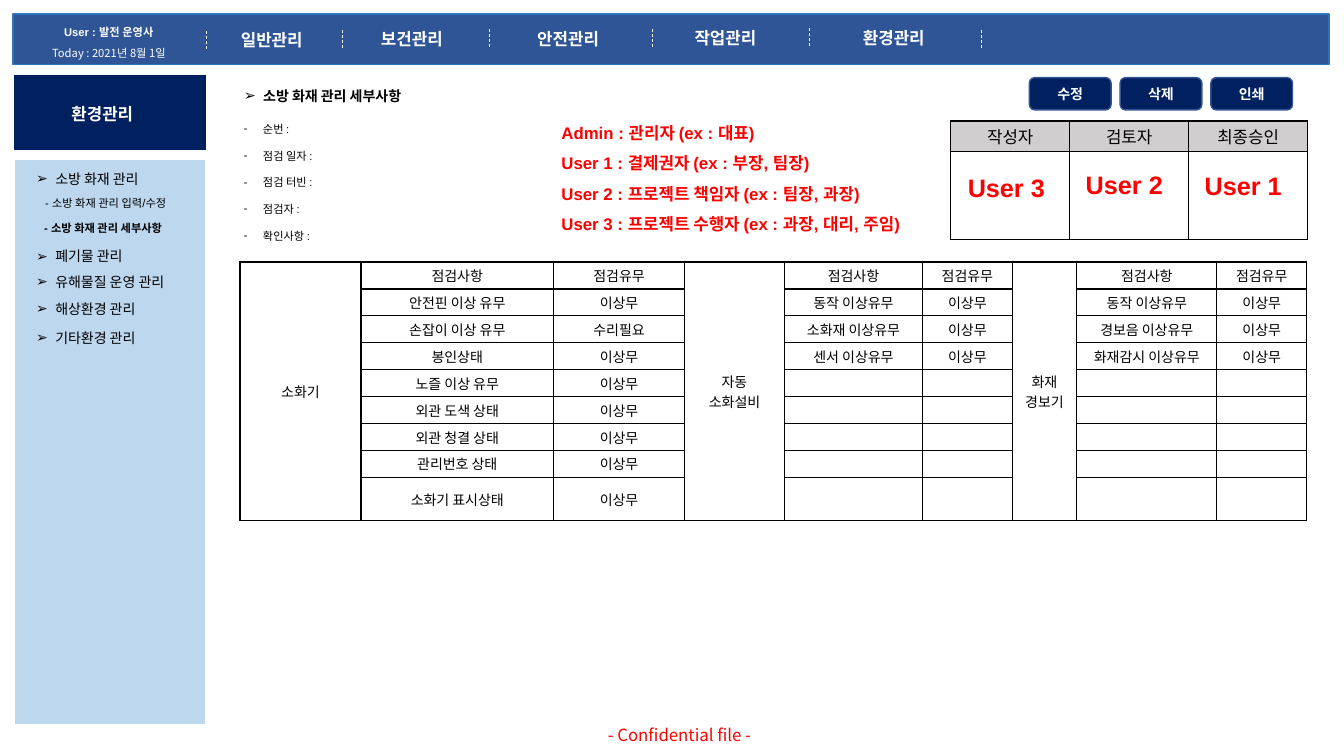
import pptx
import pptx.util
import pptx.dml.color
import pptx.enum.dml
import pptx.enum.shapes
import pptx.enum.text
import pptx.oxml
import pptx.oxml.ns
from dataclasses import dataclass
from lxml import etree

Inches, Pt = pptx.util.Inches, pptx.util.Pt
ALIGN = pptx.enum.text.PP_ALIGN
ANCHOR = pptx.enum.text.MSO_ANCHOR
SHAPE = pptx.enum.shapes.MSO_SHAPE


@dataclass(frozen=True)
class Theme:
    latin: str = "Arial"
    korean: str = "Noto Sans CJK KR"
    white: str = "FFFFFF"
    black: str = "000000"
    red: str = "FF0000"
    navy: str = "002060"
    bar: str = "2F5597"
    bar_edge: str = "2E75B6"
    button_edge: str = "325491"
    sidebar: str = "BDD7EE"
    header: str = "D0CECE"
    small: int = 8
    body: int = 10
    nav: int = 12
    large: int = 18


T = Theme()

TITLE = "소방 화재 관리 세부사항"
FIELDS = ["순번 :", "점검 일자 :", "점검 터빈 :", "점검자 :", "확인사항 :"]
USER, TODAY = "User : 발전 운영사", "Today : 2021년 8월 1일"
SECTION = "환경관리"
FOOTER = "- Confidential file -"
NAV = [("일반관리", 2.29, 0.25), ("보건관리", 3.68, 0.24), ("안전관리", 5.23, 0.24),
       ("작업관리", 6.79, 0.23), ("환경관리", 8.46, 0.23)]
DIVIDERS = [(2.05, 0.31), (3.4, 0.3), (4.85, 0.29), (6.47, 0.29), (8.03, 0.28), (9.73, 0.3)]
MENU = [("소방 화재 관리", 1.64), ("폐기물 관리", 2.41), ("유해물질 운영 관리", 2.66),
        ("해상환경 관리", 2.93), ("기타환경 관리", 3.22)]
SUBMENU = [("- 소방 화재 관리 입력/수정", 0.35, 1.9, False),
           ("- 소방 화재 관리 세부사항", 0.34, 2.15, True)]
BUTTONS = ["수정", "삭제", "인쇄"]
ROLES = ["Admin : 관리자 (ex : 대표)", "User 1 : 결제권자 (ex : 부장, 팀장)",
         "User 2 : 프로젝트 책임자 (ex : 팀장, 과장)",
         "User 3 : 프로젝트 수행자 (ex : 과장, 대리, 주임)"]
APPROVAL = ["작성자", "검토자", "최종승인"]
SIGNERS = [("User 3", 9.5, 1.66), ("User 2", 10.67, 1.63), ("User 1", 11.85, 1.64)]
CHECK_HEAD = ("점검사항", "점검유무")
OK = "이상무"
CHECKS = [
    ("소화기", [("안전핀 이상 유무", OK), ("손잡이 이상 유무", "수리필요"), ("봉인상태", OK),
             ("노즐 이상 유무", OK), ("외관 도색 상태", OK), ("외관 청결 상태", OK),
             ("관리번호 상태", OK), ("소화기 표시상태", OK)]),
    ("자동\n소화설비", [("동작 이상유무", OK), ("소화재 이상유무", OK), ("센서 이상유무", OK)]),
    ("화재\n경보기", [("동작 이상유무", OK), ("경보음 이상유무", OK), ("화재감시 이상유무", OK)]),
]
CHECK_COLS = [1.2, 1.91, 1.3, 0.99, 1.37, 0.89, 0.64, 1.39, 0.89]
CHECK_ROWS = [0.267] * 8 + [0.43]


def rgb(value):
    return pptx.dml.color.RGBColor.from_string(value)


def sub(parent, tag, **attrs):
    return etree.SubElement(parent, pptx.oxml.ns.qn(tag), **attrs)


def write(tf, text, size, color=T.black, bold=False, font=T.latin, align=ALIGN.LEFT,
          spacing=None, bullet=None):
    tf.text = text
    for p in tf.paragraphs:
        p.alignment = align
        if spacing:
            p.line_spacing = spacing
        if bullet:
            pPr = p._p.get_or_add_pPr()
            pPr.set("marL", str(Inches(0.19)))
            pPr.set("indent", str(-Inches(0.19)))
            sub(pPr, "a:buFont", typeface=T.latin)
            sub(pPr, "a:buChar", char=bullet)
        for r in p.runs:
            r.font.size, r.font.bold, r.font.name = Pt(size), bold, font
            r.font.color.rgb = rgb(color)
            sub(r._r.get_or_add_rPr(), "a:ea", typeface=T.korean)
        if not p.runs:
            sub(p._p, "a:endParaRPr", sz=str(size * 100))


def add_text(slide, box, text, size, **style):
    tf = slide.shapes.add_textbox(*map(Inches, box)).text_frame
    tf.word_wrap = True
    write(tf, text, size, **style)
    return tf


def add_box(slide, kind, box, fill, line, width):
    sp = slide.shapes.add_shape(kind, *map(Inches, box))
    sp.shadow.inherit = False
    sp.fill.solid()
    sp.fill.fore_color.rgb = rgb(fill)
    sp.line.color.rgb = rgb(line)
    sp.line.width = Pt(width)
    return sp


def add_divider(slide, x, y):
    cx = slide.shapes.add_connector(pptx.enum.shapes.MSO_CONNECTOR.STRAIGHT,
                                    *map(Inches, (x, y, x, y + 0.19)))
    cx.line.color.rgb = rgb(T.white)
    cx.line.width = Pt(0.5)
    cx.line.dash_style = pptx.enum.dml.MSO_LINE.DASH
    sub(cx._element.spPr, "a:effectLst")


def add_grid(slide, left, top, cols, rows):
    """Add an unstyled table with the given column widths and row heights."""
    frame = slide.shapes.add_table(len(rows), len(cols), *map(Inches, (left, top, sum(cols), sum(rows))))
    table = frame.table
    table.first_row = table.horz_banding = False
    for col, width in zip(table.columns, cols):
        col.width = Inches(width)
    for row, height in zip(table.rows, rows):
        row.height = Inches(height)
    return table


def fill_cell(cell, text, size, fill=None):
    write(cell.text_frame, text, size, font=T.korean, align=ALIGN.CENTER)
    cell.vertical_anchor = ANCHOR.MIDDLE
    cell.margin_top = cell.margin_bottom = Inches(0.02)
    tcPr = cell._tc.get_or_add_tcPr()
    for side in ("a:lnL", "a:lnR", "a:lnT", "a:lnB"):
        ln = sub(tcPr, side, w=str(Pt(1)))
        sub(sub(ln, "a:solidFill"), "a:srgbClr", val=T.black)
    if fill:
        cell.fill.solid()
        cell.fill.fore_color.rgb = rgb(fill)
    else:
        cell.fill.background()


def add_frame(slide):
    """Draw the top bar and the sidebar."""
    add_box(slide, SHAPE.RECTANGLE, (0.13, 0.73, 1.92, 0.77), T.navy, T.white, 1.5)
    add_box(slide, SHAPE.RECTANGLE, (0.14, 1.58, 1.9, 5.61), T.sidebar, T.white, 1.5)
    add_box(slide, SHAPE.RECTANGLE, (0.13, 0.14, 13.05, 0.5), T.bar, T.bar_edge, 1)
    for x, y in DIVIDERS:
        add_divider(slide, x, y)
    for label, x, y in NAV + [(SECTION, 0.61, 0.98)]:
        add_text(slide, (x, y, 0.98, 0.3), label, T.nav, color=T.white, bold=True)
    tf = add_text(slide, (0.31, 0.14, 1.54, 0.48), f"{USER}\n{TODAY}", T.small,
                  color=T.white, align=ALIGN.CENTER, spacing=1.5)
    tf.paragraphs[0].runs[0].font.bold = True
    tf.paragraphs[1].runs[0].font.name = T.korean
    for label, y in MENU:
        add_text(slide, (0.26, y, 1.9, 0.27), label, T.body, bullet="➢")
    for label, x, y, bold in SUBMENU:
        add_text(slide, (x, y, 2.07, 0.24), label, T.small, bold=bold)


def add_heading(slide):
    title = slide.shapes.title
    title.left, title.top, title.width, title.height = map(Inches, (2.32, 0.82, 3.1, 0.27))
    tf = title.text_frame
    tf.auto_size = pptx.enum.text.MSO_AUTO_SIZE.NONE
    tf.vertical_anchor = ANCHOR.TOP
    write(tf, TITLE, T.body, bold=True, bullet="➢")
    add_text(slide, (2.32, 1.03, 3.1, 1.44), "\n".join(FIELDS), T.small, spacing=Pt(19.1), bullet="-")
    add_text(slide, (5.47, 1.07, 3.95, 1.27), "\n".join(ROLES), T.nav,
             color=T.red, bold=True, spacing=1.5)


def add_approval(slide):
    for i, label in enumerate(BUTTONS):
        sp = add_box(slide, SHAPE.ROUNDED_RECTANGLE, (10.21 + 0.9 * i, 0.77, 0.81, 0.32),
                     T.navy, T.button_edge, 1)
        sp.text_frame.vertical_anchor = ANCHOR.MIDDLE
        write(sp.text_frame, label, T.body, color=T.white, bold=True, font=T.korean,
              align=ALIGN.CENTER)
    table = add_grid(slide, 9.43, 1.2, [1.18] * 3, [0.3, 0.88])
    for c, label in enumerate(APPROVAL):
        fill_cell(table.cell(0, c), label, T.nav, T.header)
        fill_cell(table.cell(1, c), "", T.nav)
    for label, x, y in SIGNERS:
        add_text(slide, (x, y, 1.09, 0.4), label, T.large, color=T.red, bold=True)


def add_checklist(slide):
    table = add_grid(slide, 2.38, 2.6, CHECK_COLS, CHECK_ROWS)
    last = len(CHECK_ROWS) - 1
    for g, (name, checks) in enumerate(CHECKS):
        lines = [CHECK_HEAD] + checks + [("", "")] * (last - len(checks))
        for r, line in enumerate(lines):
            for c, text in enumerate((name if r == 0 else "",) + line):
                fill_cell(table.cell(r, 3 * g + c), text, T.body)
        table.cell(0, 3 * g).merge(table.cell(last, 3 * g))


def main():
    prs = pptx.Presentation()
    prs.slide_width, prs.slide_height = Inches(13.33), Inches(7.5)
    slide = prs.slides.add_slide(prs.slide_layouts[5])
    add_frame(slide)
    add_heading(slide)
    add_approval(slide)
    add_checklist(slide)
    add_text(slide, (5.93, 7.14, 3.17, 0.3), FOOTER, T.nav, color=T.red, font=T.korean)
    prs.save("out.pptx")


if __name__ == "__main__":
    main()
